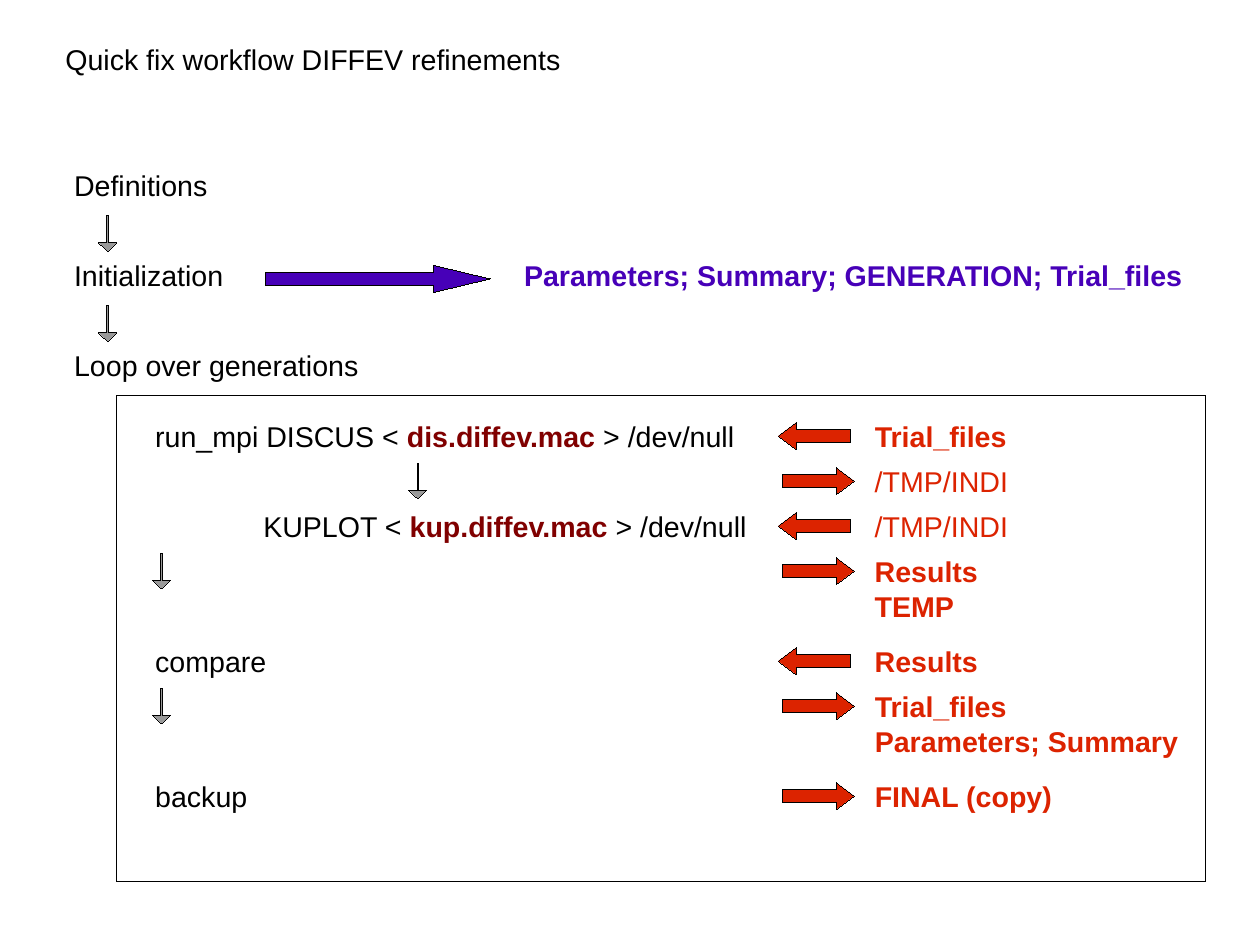
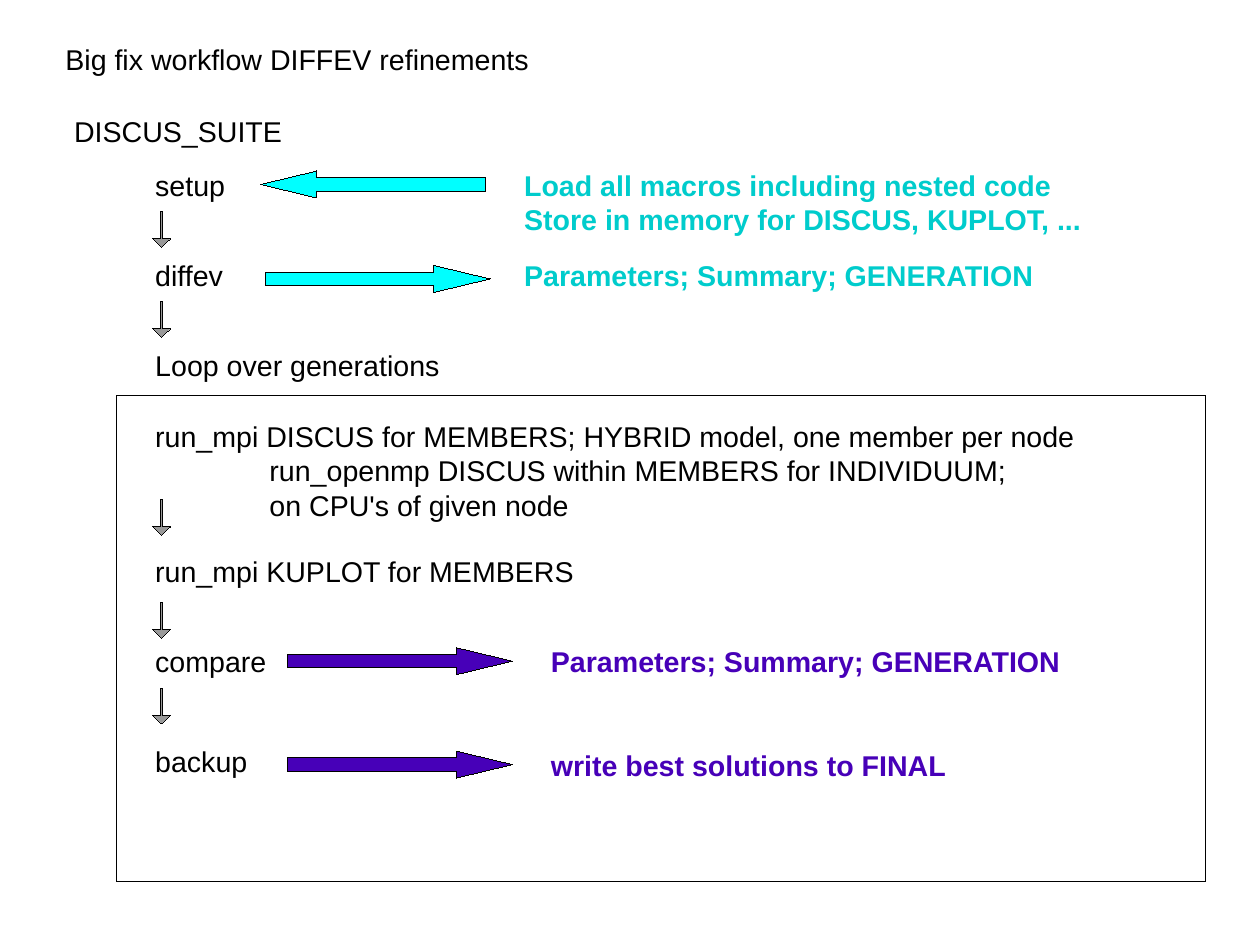
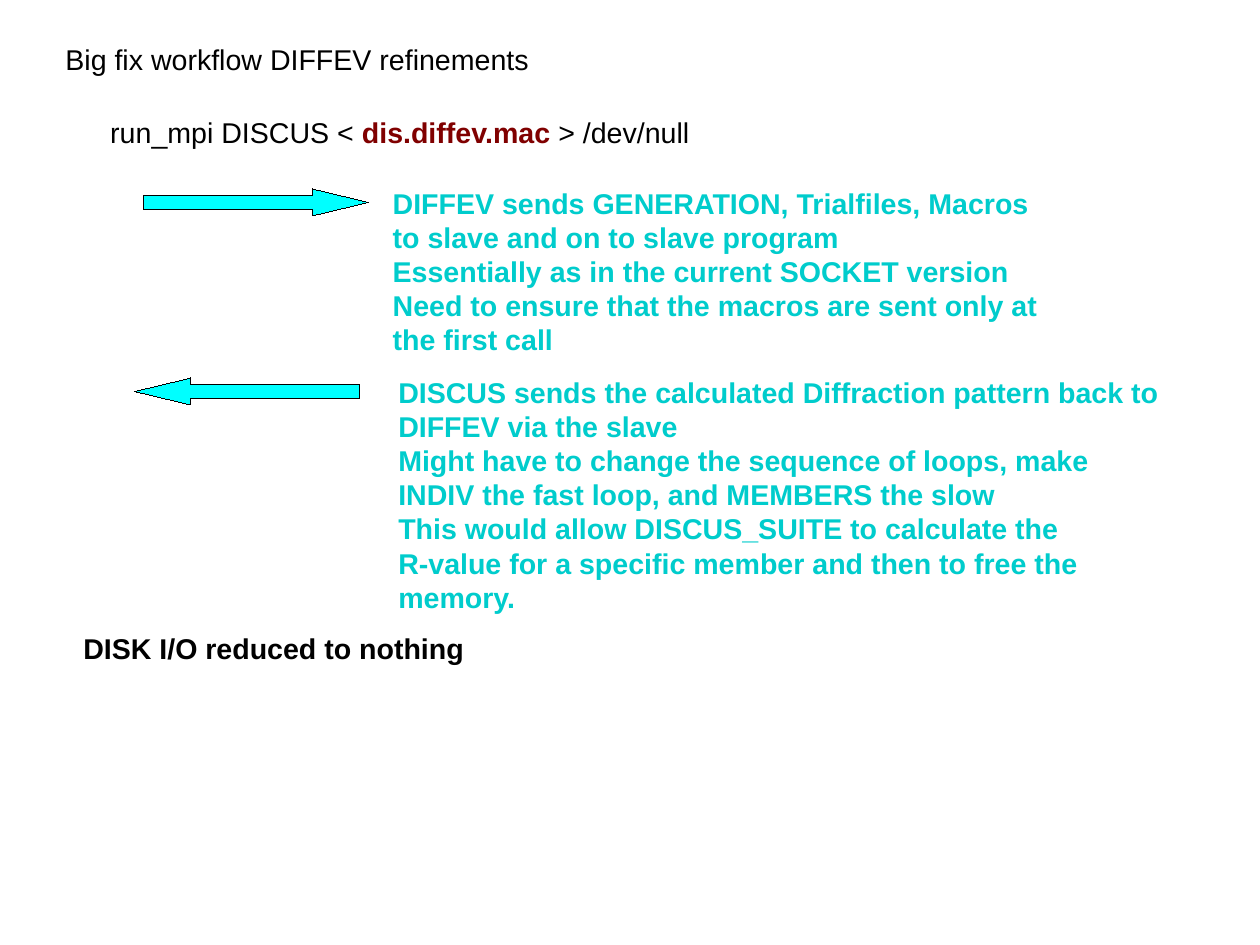
from pptx import Presentation
from pptx.dml.color import RGBColor as Rgb
from pptx.enum.shapes import MSO_SHAPE as Form
from pptx.enum.text import MSO_ANCHOR as Anchor, MSO_AUTO_SIZE as Fit, PP_ALIGN as Align
from pptx.util import Pt

HUES = {
    "black": "000000", "white": "FFFFFF", "gray": "999999", "maroon": "800000",
    "violet": "4700B8", "red": "DC2300", "cyan": "00FFFF", "teal": "00CCCC",
}
FRAME = {
    "word_wrap": False, "auto_size": Fit.NONE, "vertical_anchor": Anchor.TOP,
    "margin_left": Pt(7.2), "margin_right": Pt(7.2),
    "margin_top": Pt(3.6), "margin_bottom": Pt(3.6),
}
PARA = {
    "alignment": Align.LEFT, "line_spacing": Pt(21.55),
    "space_before": Pt(0), "space_after": Pt(0),
}
FONT = {"name": "Arial", "size": Pt(18)}
ARROWS = {
    "down": (Form.DOWN_ARROW, 11.4, 22.6, 0.09, 0.49),
    "out": (Form.RIGHT_ARROW, 141.7, 17, 0.5, 2.08),
    "in": (Form.LEFT_ARROW, 141.7, 17, 0.5, 2.08),
    "send": (Form.RIGHT_ARROW, 45.4, 17, 0.5, 0.67),
    "take": (Form.LEFT_ARROW, 45.4, 17, 0.5, 0.67),
}
ROW = 28.35
STEP = 2 * ROW
LOOP = (73.4, 249.1, 685.8, 306)
DIS = ("run_mpi DISCUS < ", "dis.diffev.mac", " > /dev/null")
KUP = ("KUPLOT < ", "kup.diffev.mac", " > /dev/null")


def style(item, form):
    for key, val in form.items():
        setattr(item, key, val)


def tint(hue):
    return Rgb.from_string(HUES[hue])


def write(frame, lines, hue="black", bold=False, indent=0):
    style(frame, FRAME)
    for at, line in enumerate(lines):
        para = frame.add_paragraph() if at else frame.paragraphs[0]
        if at and indent:
            para._p.get_or_add_pPr().set("marL", str(Pt(indent)))
        style(para, PARA)
        parts = (line,) if isinstance(line, str) else line
        for spot, text in enumerate(parts):
            macro = spot % 2 == 1
            run = para.add_run()
            run.text = text
            style(run.font, {**FONT, "bold": bold or macro})
            run.font.color.rgb = tint("maroon" if macro else hue)


def label(page, x, y, w, *lines, **look):
    box = page.shapes.add_textbox(Pt(x), Pt(y), Pt(w), Pt(7.2 + 20.2 * len(lines)))
    write(box.text_frame, lines, **look)


def block(page, form, box, hue):
    shape = page.shapes.add_shape(form, *map(Pt, box))
    shape.shadow.inherit = False
    shape.fill.solid()
    shape.fill.fore_color.rgb = tint(hue)
    shape.line.color.rgb = tint("black")
    shape.line.width = Pt(0.01)
    return shape


def arrow(page, kind, x, y, hue="gray"):
    form, w, h, shaft, head = ARROWS[kind]
    shape = block(page, form, (x, y, w, h), hue)
    shape.adjustments[0] = shaft
    shape.adjustments[1] = head


def start(deck, title):
    page = deck.slides.add_slide(deck.slide_layouts[5])
    head = page.shapes.title
    style(head, {"left": Pt(34), "top": Pt(22.7), "width": Pt(345), "height": Pt(27.4)})
    write(head.text_frame, [title])
    return page


def steps(page, x, y, items, drop):
    for at, (text, w) in enumerate(items):
        top = y + at * STEP
        label(page, x, top, w, text)
        if at < len(items) - 1:
            arrow(page, "down", x + drop[0], top + drop[1])


def quick(page, box):
    block(page, Form.RECTANGLE, box, "white")
    x, y = box[0], box[1] + 11.5
    for dx, row, w, text in (
        (17.3, 0, 378.7, DIS), (85.4, 2, 319, KUP),
        (17.3, 5, 84.2, "compare"), (17.3, 8, 72, "backup"),
    ):
        label(page, x + dx, y + row * ROW, w, text)
    for dx, row, gap in ((184.2, 1, 2.7), (22.7, 3, 2.7), (22.7, 6, 2.7)):
        arrow(page, "down", x + dx, y + row * ROW + gap)
    for row, kind, w, bold, lines in (
        (0, "take", 97.2, True, ["Trial_files"]),
        (1, "send", 98.6, False, ["/TMP/INDI"]),
        (2, "take", 98.6, False, ["/TMP/INDI"]),
        (3, "send", 79.2, True, ["Results", "TEMP"]),
        (5, "take", 79.2, True, ["Results"]),
        (6, "send", 205.2, True, ["Trial_files", "Parameters; Summary"]),
        (8, "send", 126, True, ["FINAL (copy)"]),
    ):
        top = y + row * ROW
        shift = 419.4 if kind == "send" else 416.8
        arrow(page, kind, x + shift, top + 5.6, "red")
        label(page, x + 470.6, top, w, *lines, hue="red", bold=bold)


def big(page, box):
    block(page, Form.RECTANGLE, box, "white")
    x, y = box[0] + 17.3, box[1] + 11.5
    label(page, x, y, 593.3,
          "run_mpi DISCUS for MEMBERS; HYBRID model, one member per node",
          "run_openmp DISCUS within MEMBERS for INDIVIDUUM;",
          "on CPU's of given node", indent=72)
    for dy, w, text in (
        (3 * ROW, 277.9, "run_mpi KUPLOT for MEMBERS"),
        (5 * ROW, 84.2, "compare"), (204.5, 72, "backup"),
    ):
        label(page, x, y + dy, w, text)
    for dy in (54, 118.8, 172.8):
        arrow(page, "down", x + 5.4, y + dy)
    for dy, w, text in (
        (5 * ROW, 334.8, "Parameters; Summary; GENERATION"),
        (206.9, 263.5, "write best solutions to FINAL"),
    ):
        arrow(page, "out", x + 90.4, y + dy + 5.6, "violet")
        label(page, x + 249.3, y + dy, w, text, hue="violet", bold=True)


def main():
    deck = Presentation()
    style(deck, {"slide_width": Pt(793.75), "slide_height": Pt(595.25)})

    page = start(deck, "Quick fix workflow DIFFEV refinements")
    steps(page, 39.6, 102.2, (
        ("Definitions", 97.9), ("Initialization", 108), ("Loop over generations", 193.7),
    ), (22.6, 33.7))
    arrow(page, "out", 167, 167.2, "violet")
    label(page, 323.1, 158.8, 429.1, "Parameters; Summary; GENERATION; Trial_files",
          hue="violet", bold=True)
    quick(page, LOOP)

    page = start(deck, "Big fix workflow DIFFEV refinements")
    label(page, 39.6, 68.1, 145.4, "DISCUS_SUITE")
    steps(page, 90.7, 102.2, (
        ("setup", 58.3), ("diffev", 56.9), ("Loop over generations", 193.7),
    ), (5.4, 31))
    arrow(page, "in", 164.2, 107.7, "cyan")
    label(page, 323.1, 102.2, 365.8, "Load all macros including nested code",
          "Store in memory for DISCUS, KUPLOT, ...", hue="teal", bold=True)
    arrow(page, "out", 167, 167.2, "cyan")
    label(page, 323.1, 158.8, 334.8, "Parameters; Summary; GENERATION",
          hue="teal", bold=True)
    big(page, LOOP)

    page = start(deck, "Big fix workflow DIFFEV refinements")
    label(page, 62.4, 69.1, 378.7, DIS)
    for kind, left, x, y, w, lines in (
        ("out", 90.4, 240.3, 113.4, 425.5, (
            "DIFFEV sends GENERATION, Trialfiles, Macros",
            "to slave and on to slave program",
            "Essentially as in the current SOCKET version",
            "Need to ensure that the macros are sent only at",
            "the first call")),
        ("in", 84.8, 243.8, 232.5, 493.2, (
            "DISCUS sends the calculated Diffraction pattern back to",
            "DIFFEV via the slave",
            "Might have to change the sequence of loops, make",
            "INDIV the fast loop, and MEMBERS the slow",
            "This would allow DISCUS_SUITE to calculate the",
            "R-value for a specific member and then to free the",
            "memory.")),
    ):
        arrow(page, kind, left, y + 5.6, "cyan")
        label(page, x, y, w, *lines, hue="teal", bold=True)
    label(page, 45.4, 393.8, 254.9, "DISK I/O reduced to nothing", bold=True)

    deck.save("out.pptx")


if __name__ == "__main__":
    main()
